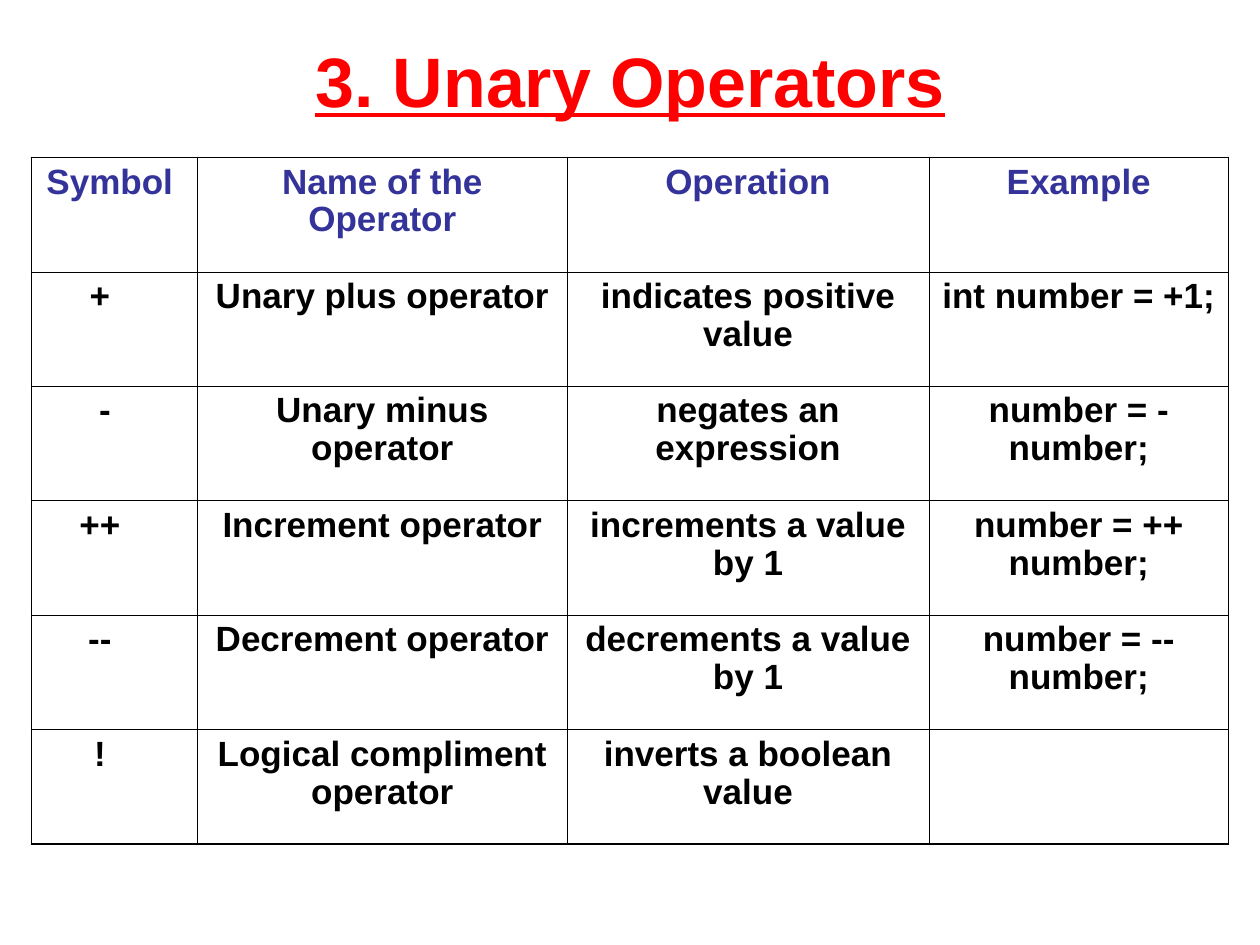
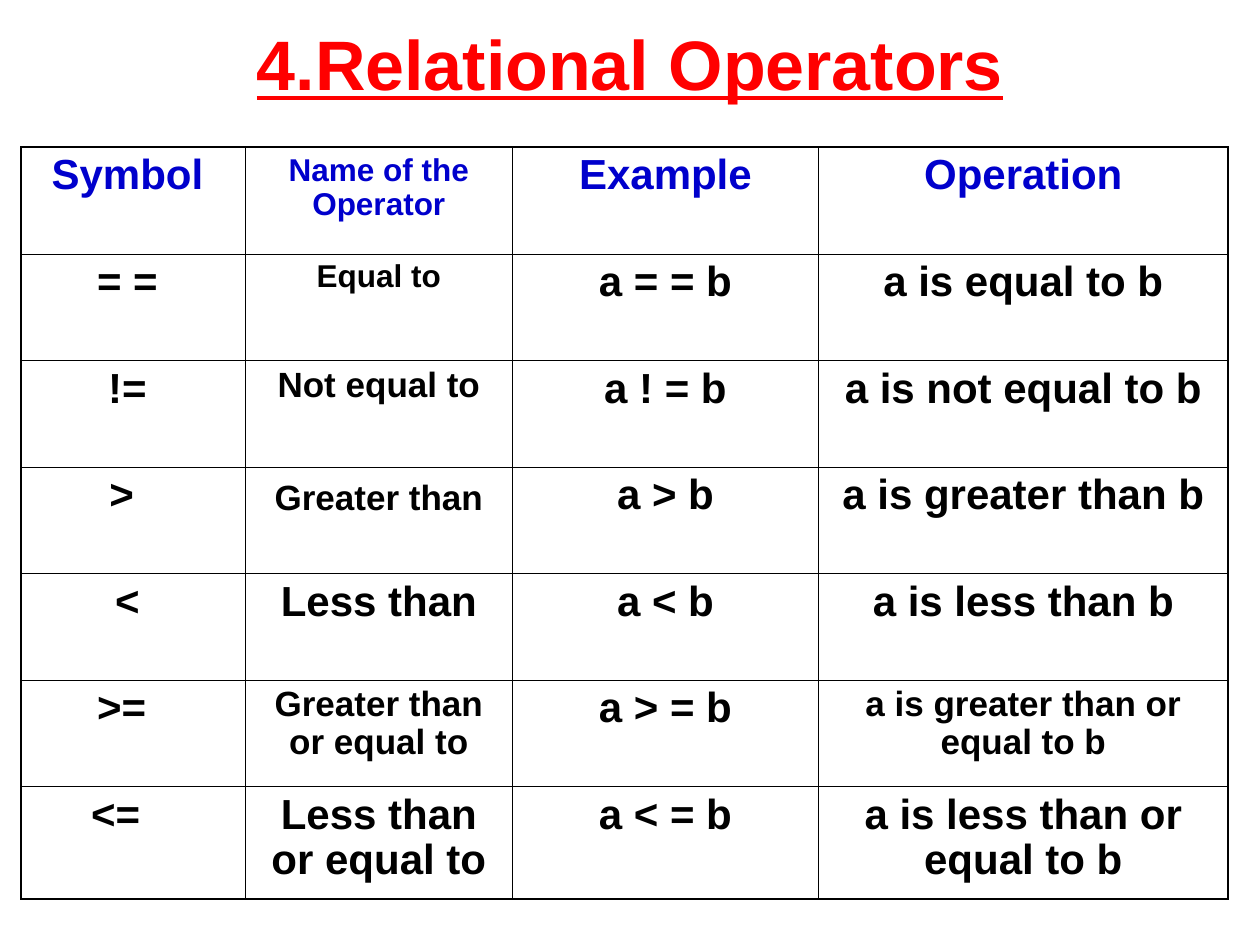
from dataclasses import dataclass

from lxml.etree import SubElement
from pptx import Presentation
from pptx.dml.color import RGBColor as RGB
from pptx.enum.text import MSO_ANCHOR as Anchor, PP_ALIGN as Align
from pptx.oxml.ns import qn
from pptx.util import Pt


@dataclass(frozen=True)
class Theme:
    font: str = "Arial"
    title_color: RGB = RGB(0xFF, 0x00, 0x00)
    text_color: RGB = RGB(0x00, 0x00, 0x00)
    unary_head: RGB = RGB(0x33, 0x33, 0x99)
    relational_head: RGB = RGB(0x00, 0x00, 0xCC)
    title_size: float = 40
    large: float = 24
    medium: float = 20
    small: float = 18
    line_spacing: float = 0.97
    outer_line: float = 1.08
    inner_line: float = 0.45
    inset_x: float = 7.2
    inset_y: float = 3.6
    space_width: float = 0.28  # share of the type size


T = Theme()

# Each symbol is followed by the number of space widths it is set off by.
UNARY_ROWS = [
    [("Symbol", 1), "Name of the Operator", "Operation", "Example"],
    [("+", 3), "Unary plus operator", "indicates positive value", "int number = +1;"],
    [("-", 2), "Unary minus operator", "negates an expression", "number = - number;"],
    [("++", 3), "Increment operator", "increments a value by 1", "number = ++ number;"],
    [("--", 3), "Decrement operator", "decrements a value by 1", "number = -- number;"],
    [("!", 3), "Logical compliment operator", "inverts a boolean value", ""],
]

RELATIONAL_ROWS = [
    [("Symbol", 1), "Name of the Operator", "Example", "Operation"],
    [("= =", 1), "Equal to", "a = = b", "a is equal to b"],
    [("!=", 1), "Not equal to", "a ! = b", "a is not equal to b"],
    [(">", 2), "Greater than", "a > b", "a is greater than b"],
    [("<", 1), "Less than", "a < b", "a is less than b"],
    [(">=", 2), "Greater than or equal to", "a > = b", "a is greater than or equal to b"],
    [("<=", 3), "Less than or equal to", "a < = b", "a is less than or equal to b"],
]

# Relational cells (row, column) set smaller than the rest
RELATIONAL_SIZES = {
    (0, 1): T.small, (1, 1): T.small,
    (2, 1): T.medium, (3, 1): T.medium, (5, 1): T.medium, (5, 3): T.medium,
}


def style_paragraph(p, size, color):
    p.alignment = Align.CENTER
    f = p.font
    f.name, f.size, f.bold = T.font, Pt(size), True
    f.color.rgb = color


def add_title(slide, text, top, height, anchor):
    sp = slide.shapes.title
    sp.left, sp.top, sp.width, sp.height = Pt(36), Pt(top), Pt(648), Pt(height)
    tf = sp.text_frame
    tf.text = text
    tf.word_wrap = True
    tf.vertical_anchor = anchor
    tf.margin_top = tf.margin_bottom = 0
    p = tf.paragraphs[0]
    style_paragraph(p, T.title_size, T.title_color)
    p.font.underline = True


def set_borders(cell, outer_sides):
    """Draw all four sides, the outer ones heavier."""
    tc_pr = cell._tc.get_or_add_tcPr()
    for side in "LRTB":
        width = T.outer_line if side in outer_sides else T.inner_line
        ln = SubElement(tc_pr, qn(f"a:ln{side}"), w=str(Pt(width)))
        fill = SubElement(ln, qn("a:solidFill"))
        SubElement(fill, qn("a:srgbClr"), val=str(T.text_color))


def fill_cell(cell, text, size, color, set_off=0):
    cell.fill.background()
    cell.margin_left = Pt(T.inset_x)
    cell.margin_right = Pt(T.inset_x + set_off * size * T.space_width)
    cell.margin_top = cell.margin_bottom = Pt(T.inset_y)
    cell.vertical_anchor = Anchor.TOP
    cell.text = text
    p = cell.text_frame.paragraphs[0]
    p.line_spacing = T.line_spacing
    style_paragraph(p, size, color)


def add_operator_table(slide, rows, left, top, widths, heights, head_color, size, sizes=None):
    sizes = sizes or {}
    n_rows, n_cols = len(rows), len(widths)
    frame = slide.shapes.add_table(
        n_rows, n_cols, Pt(left), Pt(top), Pt(sum(widths)), Pt(sum(heights)))
    table = frame.table
    table.first_row = table.horz_banding = False
    for column, width in zip(table.columns, widths):
        column.width = Pt(width)
    for row, height in zip(table.rows, heights):
        row.height = Pt(height)

    for i, row in enumerate(rows):
        for j, entry in enumerate(row):
            cell = table.cell(i, j)
            edges = {"T": i == 0, "B": i == n_rows - 1, "L": j == 0, "R": j == n_cols - 1}
            set_borders(cell, [side for side, is_outer in edges.items() if is_outer])
            text, set_off = entry if j == 0 else (entry, 0)
            color = head_color if i == 0 else T.text_color
            fill_cell(cell, text, sizes.get((i, j), size), color, set_off)
    return table


def main():
    prs = Presentation()
    prs.slide_width, prs.slide_height = Pt(720), Pt(540)
    title_only = prs.slide_layouts[5]

    # Unary operators
    s = prs.slides.add_slide(title_only)
    add_title(s, "3. Unary Operators", 21.6, 90, Anchor.TOP)
    add_operator_table(s, UNARY_ROWS, 18, 90, [95, 211, 207, 171], [65.4] * 6,
                       T.unary_head, T.medium)

    # Relational operators
    s = prs.slides.add_slide(title_only)
    add_title(s, "4.Relational Operators", 5.8, 60, Anchor.MIDDLE)
    table = add_operator_table(s, RELATIONAL_ROWS, 12.2, 84.2, [128, 152.6, 175, 234],
                               [60.9] * 6 + [64.4], T.relational_head, T.large,
                               RELATIONAL_SIZES)
    # "Greater than" shares the baseline of the larger text in its row
    table.cell(3, 1).margin_top = Pt(T.inset_y + T.large - T.medium)

    prs.save("out.pptx")


if __name__ == "__main__":
    main()
